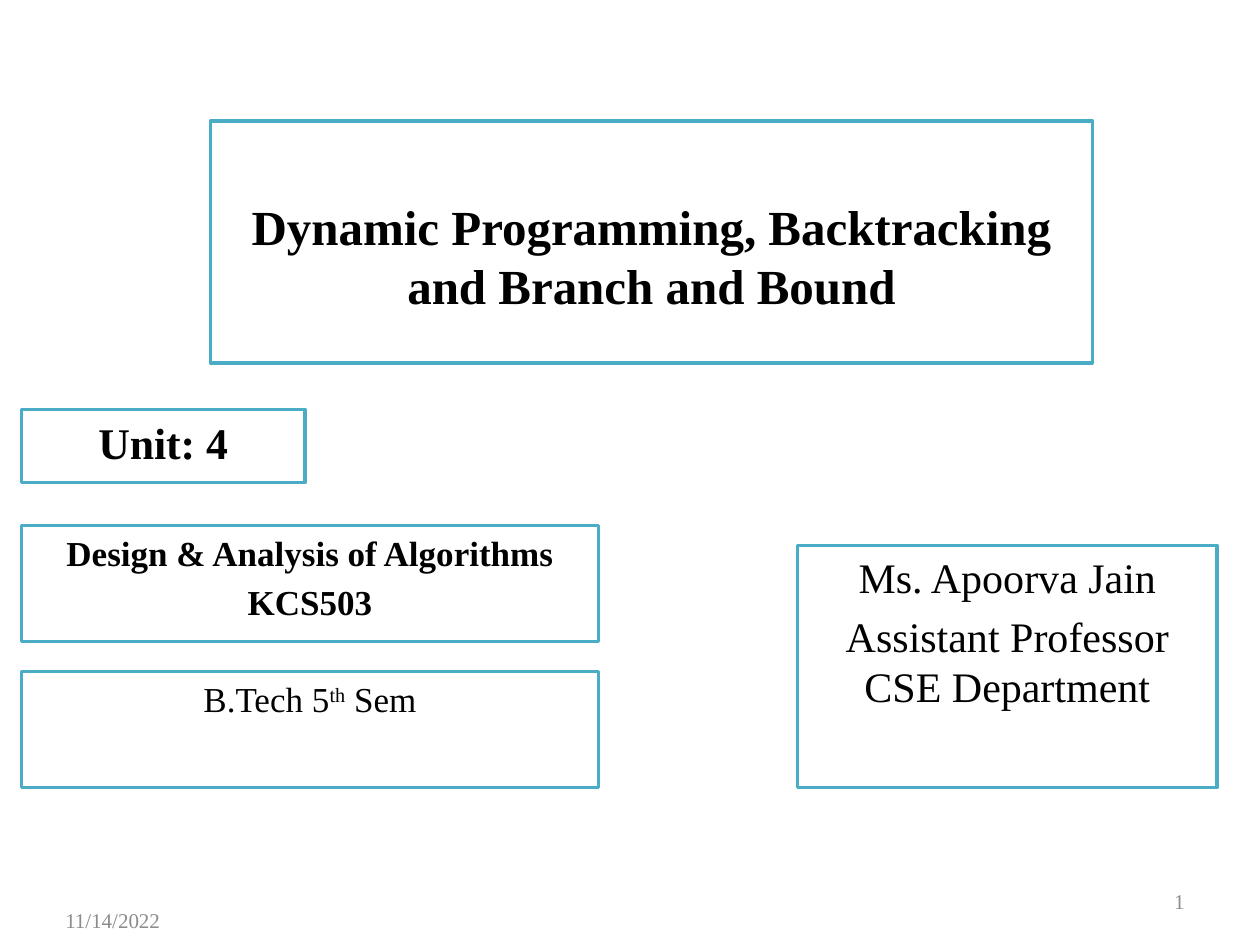
from pptx import Presentation
from pptx.dml.color import RGBColor as RGB
from pptx.enum.shapes import MSO_SHAPE as Shape
from pptx.enum.text import MSO_ANCHOR as Anchor, MSO_AUTO_SIZE as Fit, PP_ALIGN as Align
from pptx.util import Inches, Pt

theme = {
    "font": "Times New Roman",
    "ink": RGB(0x00, 0x00, 0x00),
    "gray": RGB(0x8C, 0x8C, 0x8C),
    "paper": RGB(0xFF, 0xFF, 0xFF),
    "edge": RGB(0x4B, 0xAC, 0xC6),
    "title": 28,
    "unit": 25,
    "staff": 24,
    "course": 20,
    "foot": 12,
}


def write(shape, lines, size, color="ink", bold=False, align=Align.CENTER,
          anchor=Anchor.TOP, top=0.05, gap=0.2):
    frame = shape.text_frame
    frame.word_wrap = True
    frame.auto_size = Fit.NONE
    frame.vertical_anchor = anchor
    frame.margin_top = Inches(top)
    for i, line in enumerate(lines):
        para = frame.paragraphs[0] if i == 0 else frame.add_paragraph()
        para.alignment = align
        para.space_before = Pt(theme[size] * gap)
        for part in line.split("^"):
            run = para.add_run()
            run.text = part
            run.font.name = theme["font"]
            run.font.size = Pt(theme[size])
            run.font.bold = bold
            run.font.color.rgb = theme[color]


def frame_box(shape):
    shape.fill.solid()
    shape.fill.fore_color.rgb = theme["paper"]
    shape.line.color.rgb = theme["edge"]
    shape.line.width = Pt(2)


deck = Presentation()
deck.slide_width, deck.slide_height = Inches(10), Inches(7.5)
slide = deck.slides.add_slide(deck.slide_layouts[5])

title = slide.shapes.title
title.left, title.top = Inches(1.67), Inches(0.96)
title.width, title.height = Inches(7), Inches(1.92)
frame_box(title)
write(title, ["Dynamic Programming, Backtracking and Branch and Bound"],
      "title", bold=True, top=0.6, gap=0)

boxes = [
    ((6.33, 4.33, 3.33, 1.92),
     ["Ms. Apoorva Jain", "Assistant Professor CSE Department"], "staff", False),
    ((0.17, 3.25, 2.25, 0.58), ["Unit: 4"], "unit", True),
    ((0.17, 4.17, 4.58, 0.92),
     ["Design & Analysis of Algorithms", "KCS503"], "course", True),
    ((0.17, 5.33, 4.58, 0.92), ["B.Tech 5^th^ Sem"], "course", False),
]
for place, lines, size, bold in boxes:
    box = slide.shapes.add_shape(Shape.RECTANGLE, *map(Inches, place))
    box.shadow.inherit = False
    frame_box(box)
    write(box, lines, size, bold=bold)

power = box.text_frame.paragraphs[0].runs[1]
power._r.get_or_add_rPr().set("baseline", "30000")

for left, top, text, align in [
    (0.42, 7.1, "11/14/2022", Align.LEFT),
    (7.17, 6.95, "1", Align.RIGHT),
]:
    foot = slide.shapes.add_textbox(Inches(left), Inches(top), Inches(2.33), Inches(0.4))
    write(foot, [text], "foot", color="gray", align=align, anchor=Anchor.MIDDLE, gap=0)

deck.save("out.pptx")
